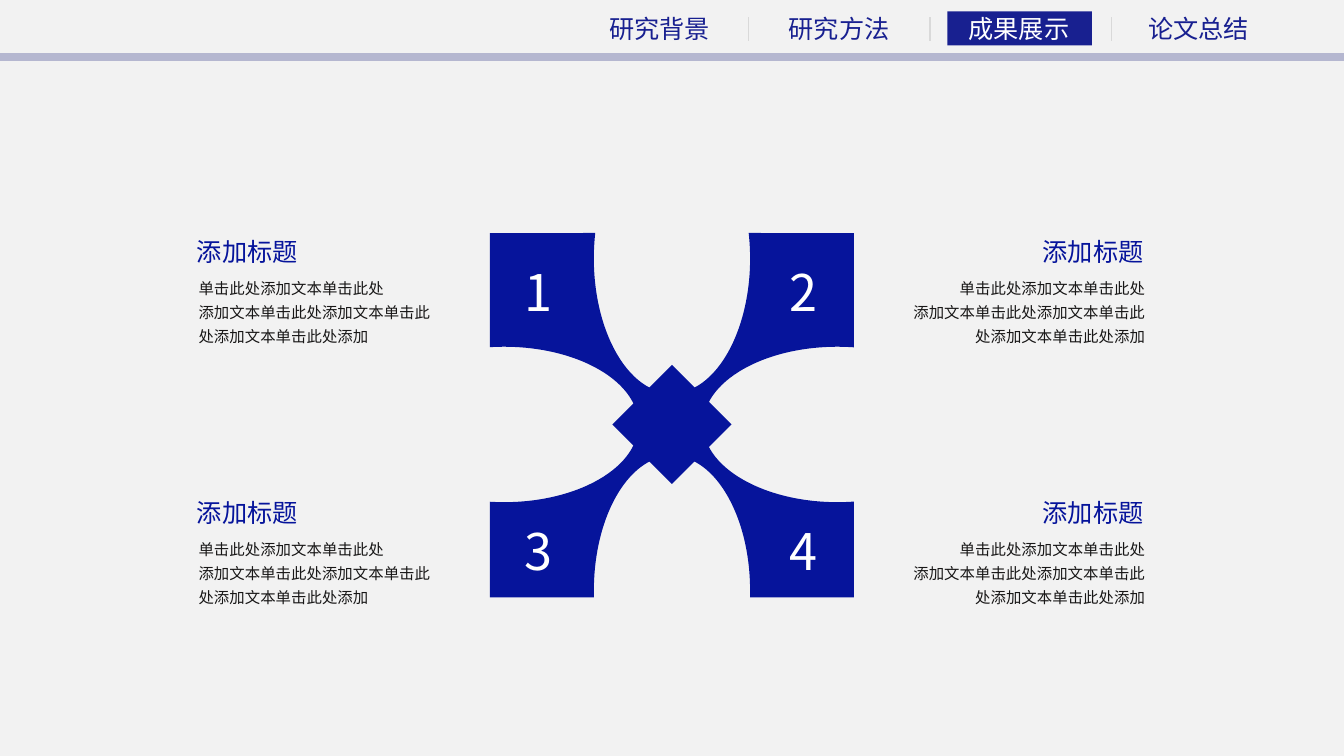
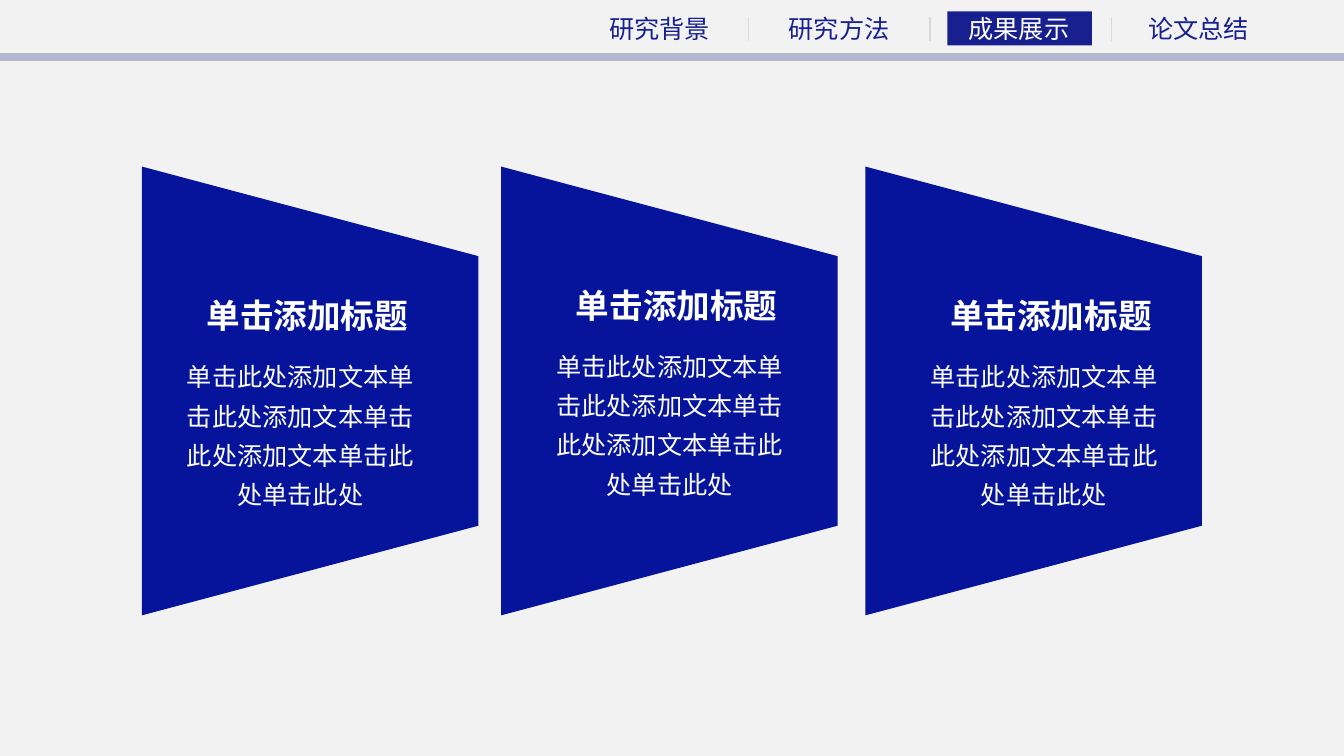
"""Build two thesis slides: a four-armed hub with callouts and a row of tapered cards."""
import math

from lxml import etree
from pptx import Presentation
from pptx.dml.color import RGBColor
from pptx.enum import shapes, text
from pptx.oxml import ns
from pptx.util import Pt

FONT = "Noto Sans CJK SC"
PAPER = RGBColor(0xF2, 0xF2, 0xF2)
NAVY = RGBColor(0x18, 0x20, 0x90)
BAND = RGBColor(0x14, 0x1B, 0x76)
BLUE = RGBColor(0x06, 0x14, 0x9B)
INK = RGBColor(0x18, 0x17, 0x17)
RULE = RGBColor(0xD9, 0xD9, 0xD9)
WHITE = RGBColor(0xFF, 0xFF, 0xFF)

LEFT, CENTER, RIGHT = text.PP_ALIGN.LEFT, text.PP_ALIGN.CENTER, text.PP_ALIGN.RIGHT

SECTIONS = ["研究背景", "研究方法", "成果展示", "论文总结"]
CURRENT = 2
CALLOUT_TITLE = "添加标题"
CALLOUT_LINES = ["单击此处添加文本单击此处", "添加文本单击此处添加文本单击此处添加文本单击此处添加"]
CARD_TITLE = "单击添加标题"
CARD_TEXT = "单击此处添加文本单击此处添加文本单击此处添加文本单击此处单击此处"


def write(tf, lines, size, color, align, bold=False, spacing=None):
    """Fill a text frame with evenly styled paragraphs."""
    tf.word_wrap = True
    tf.text = "\n".join(lines)
    for p in tf.paragraphs:
        p.alignment = align
        p.line_spacing = spacing
        p.font.name, p.font.size, p.font.bold = FONT, Pt(size), bold
        p.font.color.rgb = color
        rpr = p._p.pPr.find(ns.qn("a:defRPr"))
        etree.SubElement(rpr, ns.qn("a:ea"), typeface=FONT)


def add_text(s, x, y, w, h, lines, size, color, align, **style):
    """Add a text box."""
    sp = s.shapes.add_textbox(Pt(x), Pt(y), Pt(w), Pt(h))
    write(sp.text_frame, lines, size, color, align, **style)


def paint(sp, color):
    """Give a shape a flat fill without outline or shadow."""
    sp.shadow.inherit = False
    sp.fill.solid()
    sp.fill.fore_color.rgb = color
    sp.line.fill.background()


def add_rect(s, x, y, w, h, color):
    """Add a plain rectangle."""
    sp = s.shapes.add_shape(shapes.MSO_SHAPE.RECTANGLE, Pt(x), Pt(y), Pt(w), Pt(h))
    paint(sp, color)
    return sp


def add_outline(s, start, segments, color):
    """Add a closed freeform whose segments hold one point (line) or three (curve)."""
    builder = s.shapes.build_freeform(Pt(start[0]), Pt(start[1]))
    builder.add_line_segments([(Pt(x), Pt(y)) for seg in segments for x, y in seg], close=True)
    sp = builder.convert_to_shape()
    paint(sp, color)
    lines = iter(list(sp._element.iter(ns.qn("a:lnTo"))))
    for seg in segments:
        first, *others = [next(lines) for _ in seg]
        if others:
            first.tag = ns.qn("a:cubicBezTo")
        for ln in others:
            first.append(ln[0])
            ln.getparent().remove(ln)


def add_divider(s, x, top, bottom):
    """Add a thin vertical rule."""
    ln = s.shapes.add_connector(shapes.MSO_CONNECTOR.STRAIGHT, Pt(x), Pt(top), Pt(x), Pt(bottom))
    ln.line.color.rgb = RULE
    ln.line.width = Pt(1)
    etree.SubElement(ln._element.spPr, ns.qn("a:effectLst"))


def place_title(s, x, y, w, h, label):
    """Show the current section as the slide title."""
    sp = s.shapes.title
    sp.left, sp.top, sp.width, sp.height = Pt(x), Pt(y), Pt(w), Pt(h)
    tf = sp.text_frame
    tf.vertical_anchor = text.MSO_ANCHOR.TOP
    tf.auto_size = text.MSO_AUTO_SIZE.NONE
    write(tf, [label], 18, WHITE, CENTER, spacing=1.0)
    s.shapes._spTree.append(sp._element)


def add_slide(prs):
    """Add a slide with the navigation header."""
    s = prs.slides.add_slide(prs.slide_layouts[5])
    band = add_rect(s, 0, 38, 960, 5.6, BAND)
    color = band._element.spPr.find(".//" + ns.qn("a:srgbClr"))
    etree.SubElement(color, ns.qn("a:alpha"), val="27000")
    add_rect(s, 676.7, 8.1, 103.2, 24.3, NAVY)
    for i, label in enumerate(SECTIONS):
        box = (426.4 + 128.4 * i, 5.8, 89.3, 29)
        if i == CURRENT:
            place_title(s, *box, label)
        else:
            add_text(s, *box, [label], 18, NAVY, CENTER)
    for i in range(len(SECTIONS) - 1):
        add_divider(s, 534.8 + 129.6 * i, 12.5, 29)
    return s


def arc(cx, cy, rx, ry, start, end):
    """Return a line to an ellipse and two curves along it, angles in degrees."""
    step = math.radians(end - start) / 2
    k = 4 / 3 * math.tan(step / 4)

    def point(a, pull=0):
        """Return the point at an angle, moved along the tangent."""
        return (cx + rx * (math.cos(a) - pull * math.sin(a)),
                cy + ry * (math.sin(a) + pull * math.cos(a)))

    a, b, c = [math.radians(start) + step * i for i in range(3)]
    curves = [(point(p, k), point(q, -k), point(q)) for p, q in [(a, b), (b, c)]]
    return [(point(a),), *curves]


def add_hub(s):
    """Add the square with four elliptical bites and its centre diamond."""
    left, top, right, bottom = 350, 166.5, 610, 426.7
    segments = [*arc(480, 184.5, 55.8, 96.4, 190.8, -10.8), ((right, top),),
                *arc(598.3, 303.2, 96, 55.5, -83, -277), ((right, bottom),),
                *arc(480, 422, 55.8, 96.4, 2.8, -182.8), ((left, bottom),),
                *arc(360, 303.2, 96, 55.5, 96, -96)]
    add_outline(s, (left, top), segments, BLUE)
    diamond = add_rect(s, 449.9, 273.1, 60.2, 60.2, BLUE)
    diamond.rotation = 45


def add_callout(s, x, y, align):
    """Add a heading with its small paragraph text."""
    add_text(s, x + 1.2, y + 26.6, 184.3, 75, CALLOUT_LINES, 11, INK, align, spacing=1.3)
    add_text(s, x, y, 184.3, 29, [CALLOUT_TITLE], 18, BLUE, align)


def add_card(s, x, text_x, text_y):
    """Add a card that tapers to the right, with heading and text."""
    right = x + 240.3
    add_outline(s, (x, 439.5), [((x, 119),), ((right, 183),), ((right, 375.5),)], BLUE)
    add_text(s, text_x, text_y, 160, 36, [CARD_TITLE], 24, WHITE, RIGHT, bold=True)
    add_text(s, text_x - 17.4, text_y + 41, 186.5, 118, [CARD_TEXT], 18, WHITE, CENTER,
             spacing=1.3)


def build_hub_slide(prs):
    """Build the hub with four numbered callouts."""
    s = add_slide(prs)
    add_hub(s)
    columns = [(361.8, 133.6, LEFT), (551.5, 639.6, RIGHT)]
    for row, (number_y, callout_y) in enumerate([(182.8, 165), (368, 351.5)]):
        for col, (number_x, callout_x, align) in enumerate(columns):
            number = str(2 * row + col + 1)
            add_text(s, number_x, number_y, 45.4, 51, [number], 36, WHITE, CENTER)
            add_callout(s, callout_x, callout_y, align)


def build_card_slide(prs):
    """Build the row of three cards."""
    s = add_slide(prs)
    for x, text_x, text_y in [(101.4, 138.6, 207.4), (358, 402.5, 199.7), (618.2, 669.8, 207.4)]:
        add_card(s, x, text_x, text_y)


def main():
    """Create and save the presentation."""
    prs = Presentation()
    prs.slide_width, prs.slide_height = Pt(960), Pt(540)
    fill = prs.slide_master.background.fill
    fill.solid()
    fill.fore_color.rgb = PAPER
    build_hub_slide(prs)
    build_card_slide(prs)
    prs.save("out.pptx")


if __name__ == "__main__":
    main()
